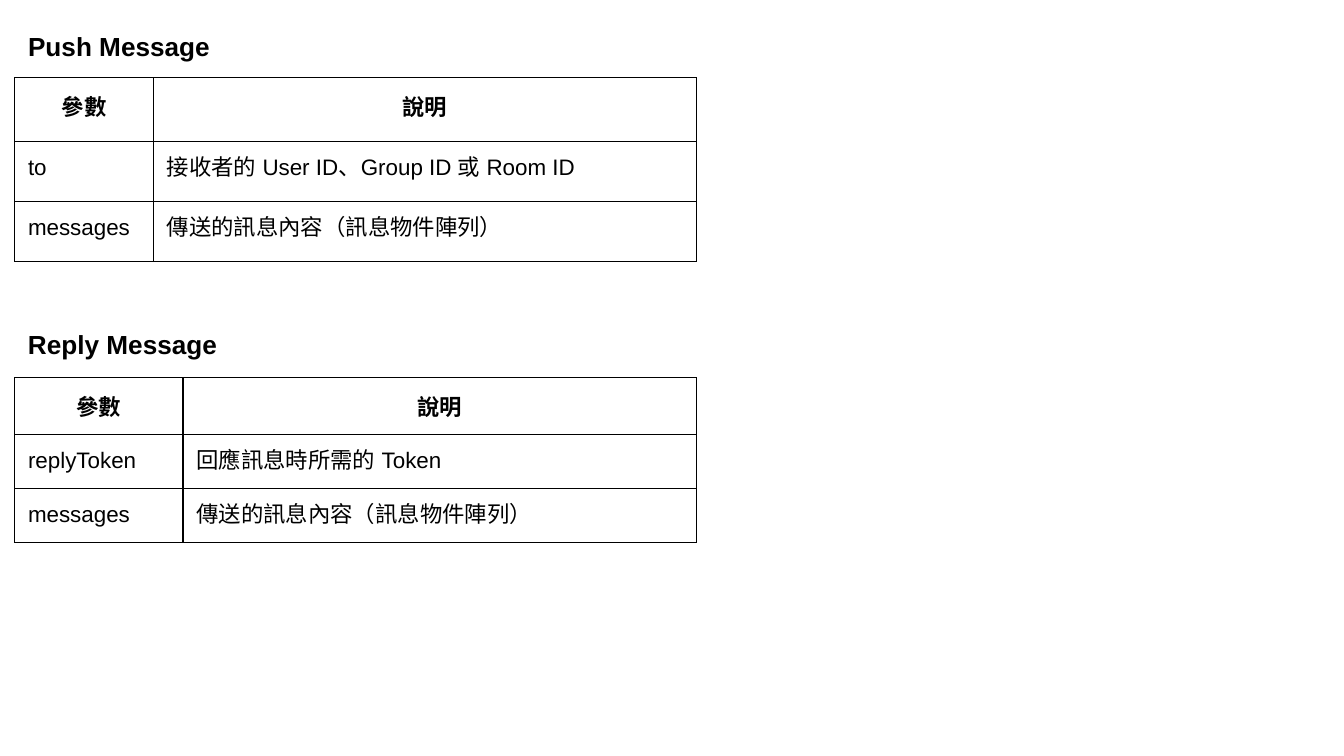
"""Build a slide with the parameter tables of Push Message and Reply Message."""
from lxml import etree
from pptx import Presentation
from pptx.dml.color import RGBColor
from pptx.enum.text import MSO_ANCHOR, MSO_AUTO_SIZE, PP_ALIGN
from pptx.oxml.ns import qn
from pptx.util import Cm, Pt

BLACK = RGBColor(0x00, 0x00, 0x00)
LEFT = 0.28
INSET = Cm(0.25)
MARGINS = dict.fromkeys(("margin_left", "margin_right", "margin_top", "margin_bottom"), INSET)
FRAME = {**MARGINS, "word_wrap": True, "vertical_anchor": MSO_ANCHOR.TOP,
         "auto_size": MSO_AUTO_SIZE.NONE}
CELL = {**MARGINS, "vertical_anchor": MSO_ANCHOR.TOP}
HEADER = ("參數", "說明")
MESSAGES = ("messages", "傳送的訊息內容（訊息物件陣列）")

SECTIONS = [
    {"title": "Push Message", "title_top": 0.33, "spacing": 1.0, "top": 1.47,
     "cols": (2.62, 10.26), "rows": (1.21, 1.13, 1.13),
     "data": (HEADER, ("to", "接收者的 User ID、Group ID 或 Room ID"), MESSAGES)},
    {"title": "Reply Message", "title_top": 5.87, "spacing": 1.15, "top": 7.14,
     "cols": (3.18, 9.7), "rows": (1.08, 1.02, 1.02),
     "data": (HEADER, ("replyToken", "回應訊息時所需的 Token"), MESSAGES)},
]


def write(p, text, size, bold, align, spacing):
    p.alignment, p.line_spacing = align, spacing
    r = p.add_run()
    r.text = text
    for name, value in {"name": "Arial", "size": Pt(size), "bold": bold}.items():
        setattr(r.font, name, value)
    r.font.color.rgb = BLACK
    etree.SubElement(r.font._element, qn("a:ea"), typeface="Arial")


def add_borders(cell):
    tcPr = cell._tc.get_or_add_tcPr()
    for i, side in enumerate("LRTB"):
        ln = etree.Element(qn(f"a:ln{side}"), w=str(Pt(0.75)))
        fill = etree.SubElement(ln, qn("a:solidFill"))
        etree.SubElement(fill, qn("a:srgbClr"), val=str(BLACK))
        tcPr.insert(i, ln)


prs = Presentation()
prs.slide_width, prs.slide_height = Cm(25.4), Cm(14.29)
slide = prs.slides.add_slide(prs.slide_layouts[5])

for i, section in enumerate(SECTIONS):
    box = (Cm(LEFT), Cm(section["title_top"]), Cm(8.33), Cm(1.12))
    if i == 0:
        sp = slide.shapes.title
        sp.left, sp.top, sp.width, sp.height = box
    else:
        sp = slide.shapes.add_textbox(*box)
    tf = sp.text_frame
    for name, value in FRAME.items():
        setattr(tf, name, value)
    write(tf.paragraphs[0], section["title"], 14, True, PP_ALIGN.LEFT, section["spacing"])

    cols, rows = section["cols"], section["rows"]
    table = slide.shapes.add_table(len(rows), len(cols), Cm(LEFT), Cm(section["top"]),
                                   Cm(sum(cols)), Cm(sum(rows))).table
    table.first_row = table.horz_banding = False
    for col, width in zip(table.columns, cols):
        col.width = Cm(width)
    for n, (row, height, texts) in enumerate(zip(table.rows, rows, section["data"])):
        row.height = Cm(height)
        header = n == 0
        for cell, text in zip(row.cells, texts):
            for name, value in CELL.items():
                setattr(cell, name, value)
            cell.fill.background()
            add_borders(cell)
            write(cell.text_frame.paragraphs[0], text, 12, header,
                  PP_ALIGN.CENTER if header else PP_ALIGN.LEFT, 1.15 if header else 1.0)

prs.save("out.pptx")
